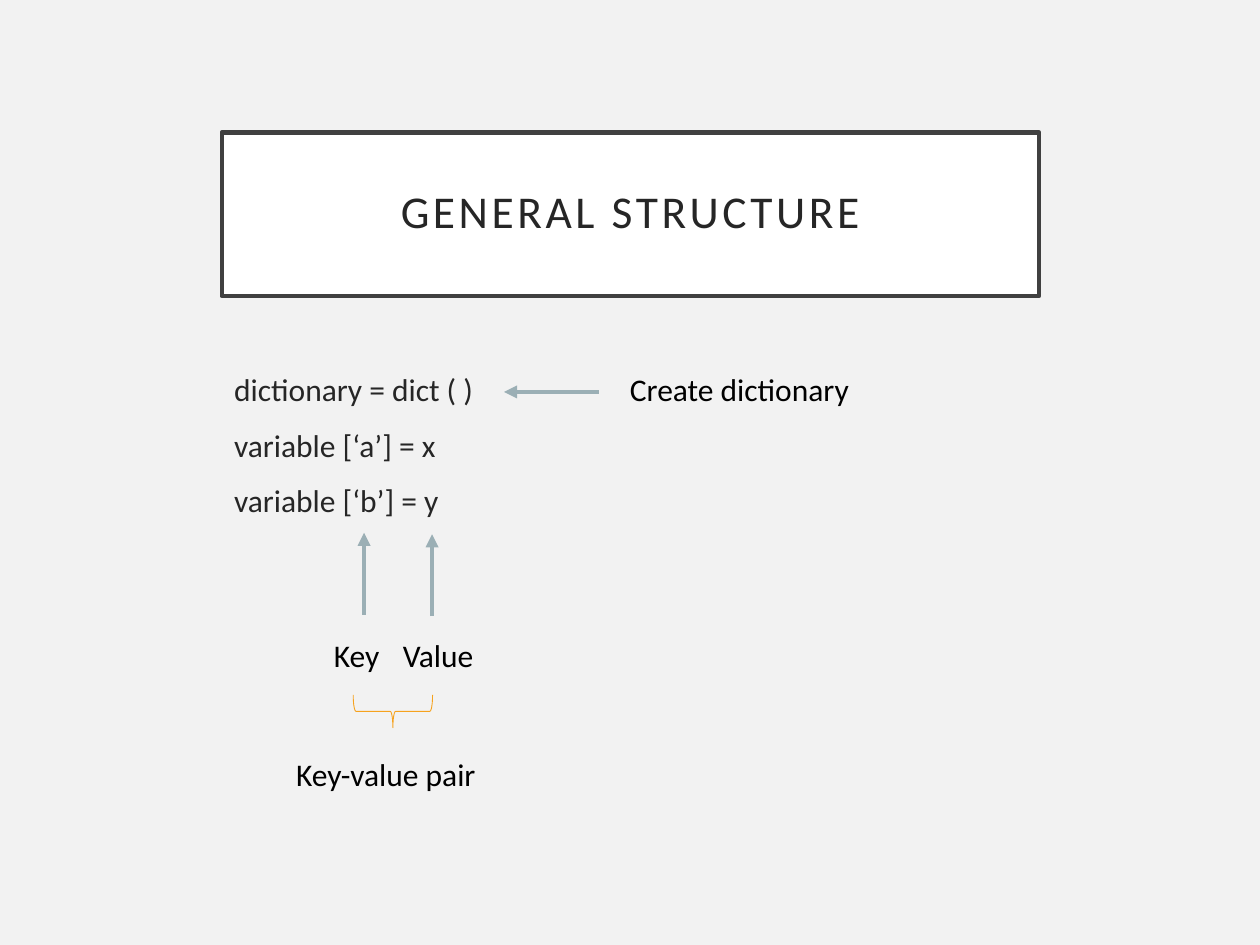
from lxml import etree
from pptx import Presentation
from pptx.dml.color import RGBColor
from pptx.enum.shapes import MSO_CONNECTOR, MSO_SHAPE
from pptx.enum.text import MSO_ANCHOR, MSO_AUTO_SIZE, PP_ALIGN
from pptx.oxml.ns import qn
from pptx.util import Cm, Pt

STRAIGHT = MSO_CONNECTOR.STRAIGHT
RECTANGLE, RIGHT_BRACE = MSO_SHAPE.RECTANGLE, MSO_SHAPE.RIGHT_BRACE
MIDDLE, TOP = MSO_ANCHOR.MIDDLE, MSO_ANCHOR.TOP
LEFT, CENTER = PP_ALIGN.LEFT, PP_ALIGN.CENTER
FIT_SHAPE = MSO_AUTO_SIZE.SHAPE_TO_FIT_TEXT


def colour(hex_string):
    return RGBColor.from_string(hex_string)


def write(frame, text, size=18, color="000000", align=LEFT, anchor=TOP,
          before=0, line_spacing=None, tracking=None, font="Calibri"):
    frame.word_wrap = True
    frame.vertical_anchor = anchor
    frame.text = text
    for paragraph in frame.paragraphs:
        paragraph.alignment = align
        paragraph.space_before = Pt(before)
        if line_spacing:
            paragraph.line_spacing = line_spacing
        for run in paragraph.runs:
            run.font.name = font
            run.font.size = Pt(size)
            run.font.color.rgb = colour(color)
            if tracking:
                run.font._element.set("spc", str(tracking * 100))


class StructureSlide:
    """Draws styled elements on one slide."""

    ink, frame_line, arrow_line, brace_line = "262626", "404040", "9BAFB5", "F6A21D"

    def __init__(self, slide):
        self.slide = slide
        self.shapes = slide.shapes
        slide.background.fill.solid()
        slide.background.fill.fore_color.rgb = colour("F2F2F2")

    def outline(self, element, color, width):
        element.line.color.rgb = colour(color)
        element.line.width = Pt(width)

    def title(self, text, left, top, width, height):
        banner = self.shapes.add_shape(RECTANGLE, Cm(left), Cm(top), Cm(width), Cm(height))
        banner.shadow.inherit = False
        banner.fill.solid()
        banner.fill.fore_color.rgb = colour("FFFFFF")
        self.outline(banner, self.frame_line, 2.5)
        frame = banner.text_frame
        frame.margin_left = frame.margin_right = Cm(0.5)
        frame.margin_top = frame.margin_bottom = Cm(0.5)
        write(frame, text, size=26, color=self.ink, align=CENTER, anchor=MIDDLE,
              line_spacing=0.9, tracking=2)

    def code(self, lines, left, top, width, height):
        listing = self.shapes.add_textbox(Cm(left), Cm(top), Cm(width), Cm(height))
        write(listing.text_frame, "\n".join(lines), color=self.ink, before=10)

    def label(self, text, left, top):
        note = self.shapes.add_textbox(Cm(left), Cm(top), Cm(7.34), Cm(1.02))
        write(note.text_frame, text)
        note.text_frame.auto_size = FIT_SHAPE

    def arrow(self, start_x, start_y, end_x, end_y):
        pointer = self.shapes.add_connector(
            STRAIGHT, Cm(start_x), Cm(start_y), Cm(end_x), Cm(end_y))
        self.outline(pointer, self.arrow_line, 2.5)
        etree.SubElement(pointer.line._get_or_add_ln(), qn("a:tailEnd"), type="triangle")
        etree.SubElement(pointer._element.spPr, qn("a:effectLst"))

    def brace(self, left, top, width, height):
        bracket = self.shapes.add_shape(RIGHT_BRACE, Cm(left), Cm(top), Cm(width), Cm(height))
        bracket.rotation = 90
        bracket.shadow.inherit = False
        bracket.fill.background()
        self.outline(bracket, self.brace_line, 0.5)


def main():
    deck = Presentation()
    deck.slide_width, deck.slide_height = Cm(25.4), Cm(19.05)
    page = StructureSlide(deck.slides.add_slide(deck.slide_layouts[6]))

    margin, content_width, code_top = 4.47, 16.48, 7.34
    page.title("GENERAL STRUCTURE", margin, 2.67, content_width, 3.3)
    page.code(["dictionary = dict ( )", "variable [‘a’] = x", "variable [‘b’] = y"],
              margin, code_top, content_width, 8.61)

    page.arrow(12.07, 7.9, 10.16, 7.9)
    page.label("Create dictionary", 12.45, code_top)

    for text, label_left, arrow_x, arrow_top in (
            ("Value", 7.87, 8.71, 10.77), ("Key", 6.48, 7.34, 10.74)):
        page.arrow(arrow_x, arrow_top + 1.65, arrow_x, arrow_top)
        page.label(text, label_left, 12.7)

    page.brace(7.59, 13.54, 0.66, 1.6)
    page.label("Key-value pair", 5.72, 15.09)
    deck.save("out.pptx")


if __name__ == "__main__":
    main()
